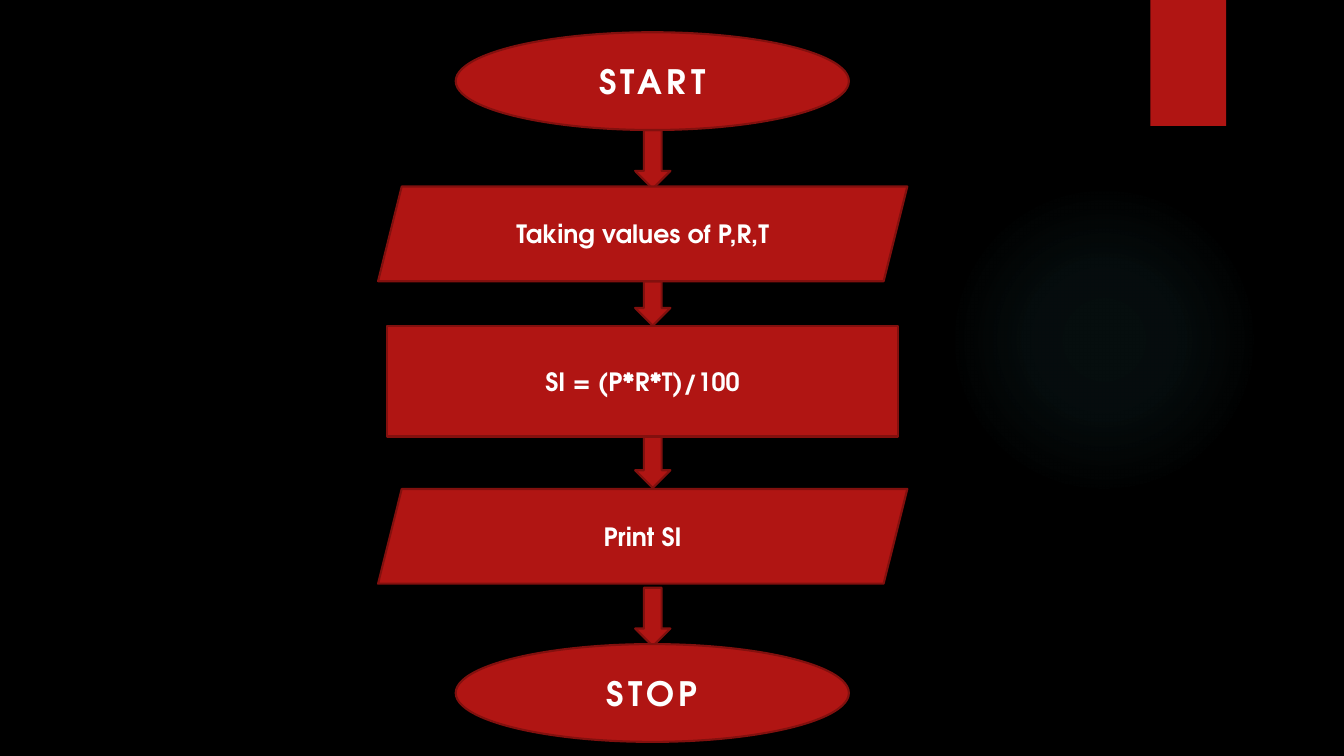
from dataclasses import dataclass

import pptx
import pptx.dml.color
import pptx.enum.shapes
import pptx.enum.text
import pptx.oxml
import pptx.oxml.ns
import pptx.util

SHAPE = pptx.enum.shapes.MSO_SHAPE


@dataclass(frozen=True)
class Theme:
    background: str = "000000"
    red: str = "B01513"
    outline: str = "82100E"
    text: str = "FFFFFF"
    glow: str = "50B9C1"
    font: str = "TeX Gyre Adventor"
    terminal_size: int = 24
    step_size: int = 18
    terminal_spacing: int = 3
    line_width: float = 1.5


@dataclass(frozen=True)
class Box:
    left: float
    top: float
    width: float
    height: float

    def share(self, x, y, w, h):
        return Box(self.left + self.width * x / 100, self.top + self.height * y / 100,
                   self.width * w / 100, self.height * h / 100)

    def emu(self):
        return [pptx.util.Inches(v) for v in (self.left, self.top, self.width, self.height)]


THEME = Theme()
PAGE = Box(0, 0, 13.33, 7.5)

TERMINAL = (SHAPE.OVAL, 14.67, 74.29, THEME.terminal_size, THEME.terminal_spacing)
DATA = (SHAPE.PARALLELOGRAM, 0, 100, THEME.step_size, 0)
PROCESS = (SHAPE.RECTANGLE, 1.71, 96.57, THEME.step_size, 0)

STEPS = [
    ("START", TERMINAL, 0, 13.78),
    ("Taking values of P,R,T", DATA, 21.73, 13.35),
    ("SI = (P*R*T)/100", PROCESS, 41.34, 15.63),
    ("Print SI", DATA, 64.35, 13.35),
    ("STOP", TERMINAL, 86.22, 13.78),
]
ARROWS = [(13.78, 8.24), (35.09, 6.25), (56.96, 7.24), (78.27, 8.24)]


def rgb(color):
    return pptx.dml.color.RGBColor.from_string(color)


def add_plain(slide, kind, box):
    sp = slide.shapes.add_shape(kind, *box.emu())
    sp.shadow.inherit = False
    sp.fill.solid()
    sp.fill.fore_color.rgb = rgb(THEME.red)
    sp.line.fill.background()
    return sp


def add_outlined(slide, kind, box):
    sp = add_plain(slide, kind, box)
    sp.line.color.rgb = rgb(THEME.outline)
    sp.line.width = pptx.util.Pt(THEME.line_width)
    return sp


def add_glow(slide, box):
    sp = add_plain(slide, SHAPE.OVAL, box)
    stops = "".join(
        f'<a:gs pos="{pos * 1000}"><a:srgbClr val="{THEME.glow}">'
        f'<a:alpha val="{alpha * 1000}"/></a:srgbClr></a:gs>'
        for pos, alpha in ((0, 7), (36, 6), (69, 0)))
    gradient = pptx.oxml.parse_xml(
        f'<a:gradFill {pptx.oxml.ns.nsdecls("a")}><a:gsLst>{stops}</a:gsLst>'
        '<a:path path="circle"><a:fillToRect l="50000" t="50000" r="50000" b="50000"/>'
        '</a:path></a:gradFill>')
    solid = sp._element.spPr.find(pptx.oxml.ns.qn("a:solidFill"))
    solid.getparent().replace(solid, gradient)


def add_backdrop(slide, box):
    slide.background.fill.solid()
    slide.background.fill.fore_color.rgb = rgb(THEME.background)
    add_glow(slide, box.share(70.59, 24.4, 23.11, 41.07))
    add_plain(slide, SHAPE.RECTANGLE, box.share(85.6, 0, 5.63, 16.67))


def add_step(slide, box, kind, text, size, spacing):
    sp = add_outlined(slide, kind, box)
    tf = sp.text_frame
    tf.text = text
    tf.word_wrap = True
    tf.vertical_anchor = pptx.enum.text.MSO_ANCHOR.MIDDLE
    p = tf.paragraphs[0]
    p.alignment = pptx.enum.text.PP_ALIGN.CENTER
    r = p.runs[0]
    r.font.name = THEME.font
    r.font.size = pptx.util.Pt(size)
    r.font.bold = True
    r.font.color.rgb = rgb(THEME.text)
    if spacing:
        r._r.get_or_add_rPr().set("spc", str(spacing * 100))


def add_flowchart(slide, box):
    for y, h in ARROWS:
        add_outlined(slide, SHAPE.DOWN_ARROW, box.share(48.57, y, 6.67, h))
    for text, (kind, x, w, size, spacing), y, h in STEPS:
        add_step(slide, box.share(x, y, w, h), kind, text, size, spacing)


def main():
    prs = pptx.Presentation()
    prs.slide_width = pptx.util.Inches(PAGE.width)
    prs.slide_height = pptx.util.Inches(PAGE.height)
    slide = prs.slides.add_slide(prs.slide_layouts[6])
    add_backdrop(slide, PAGE)
    add_flowchart(slide, PAGE.share(28.13, 4.27, 39.38, 93.87))
    prs.save("out.pptx")


if __name__ == "__main__":
    main()
